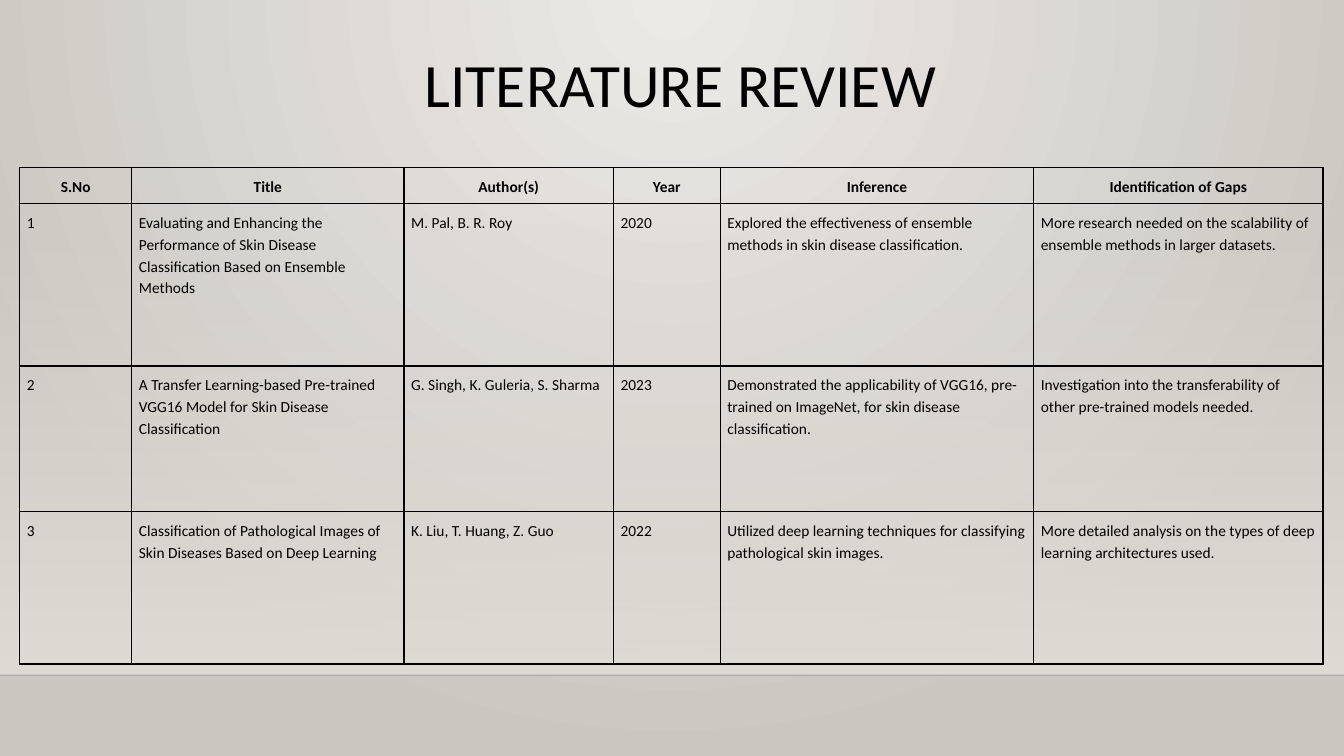
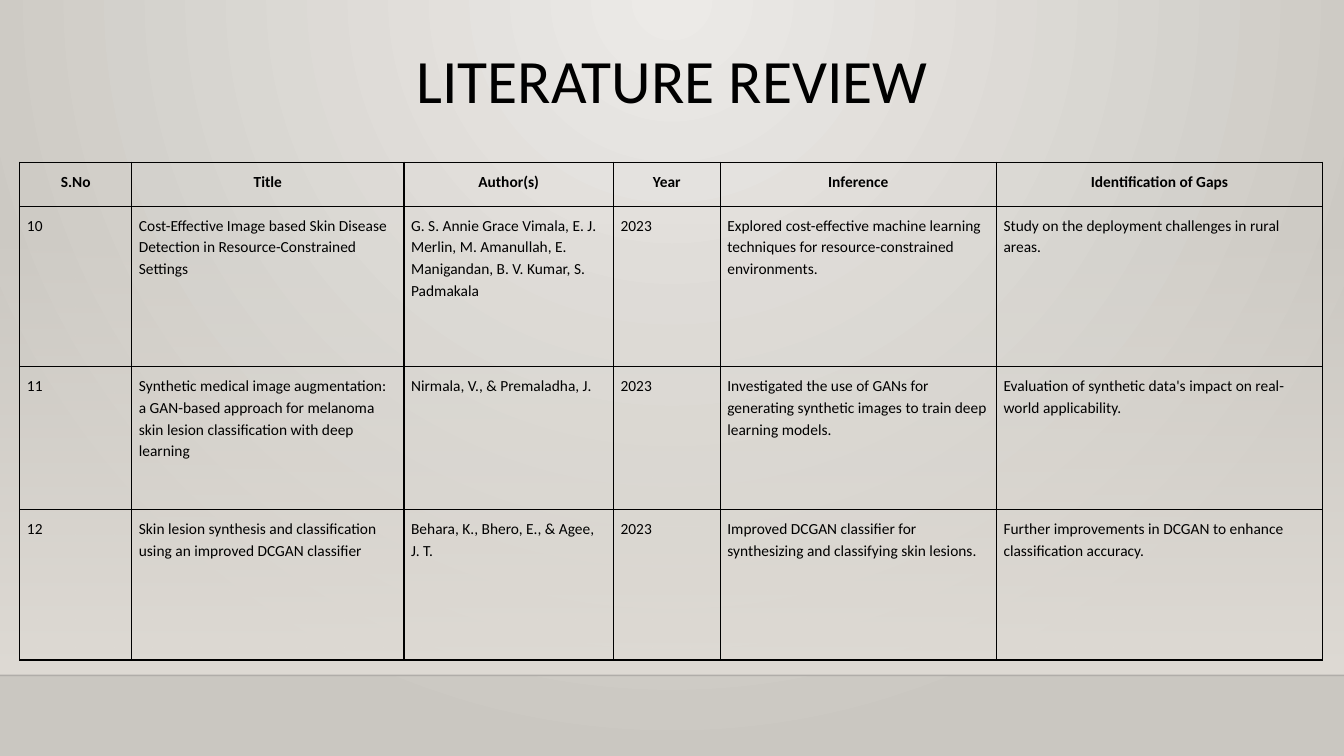
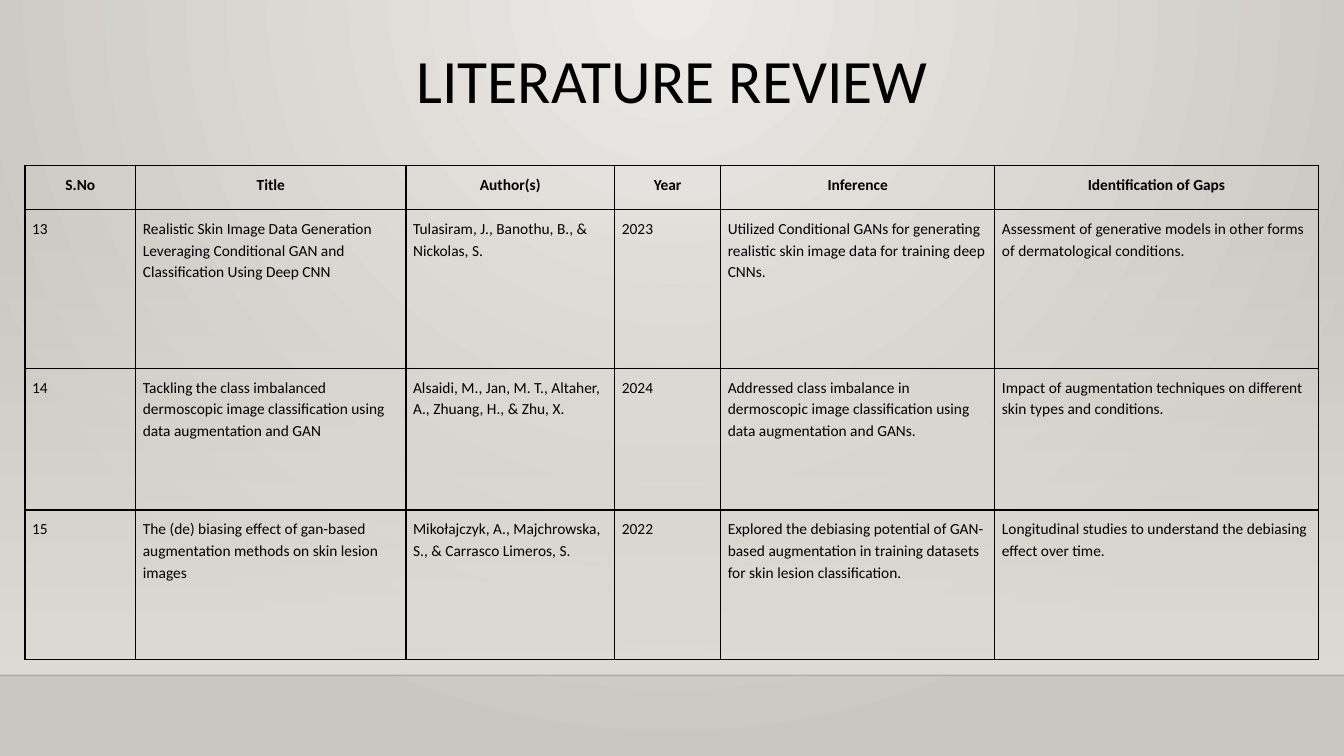
"""Build three literature review slides, each with a title and a table."""
import lxml.etree
import pptx
import pptx.dml.color
import pptx.enum.shapes
import pptx.enum.text
import pptx.oxml.ns
import pptx.util

Cm = pptx.util.Cm
Pt = pptx.util.Pt
qn = pptx.oxml.ns.qn

FONT = "Calibri"
BLACK = "000000"
BACKGROUND_COLOURS = ("ECEAE7", "CAC7C1")
WALL_COLOUR = "DFDBD5"
FLOOR_LINE_COLOUR = "000001"
SLIDE_WIDTH, SLIDE_HEIGHT = 33.87, 19.05
WALL_TOP, FLOOR_TOP = 5.61, 17.02
CELL_MARGIN = 0.18
NO_STYLE = "{2D5ABB26-0587-4C30-8999-92F81FD0307C}"
TITLE = "LITERATURE REVIEW"
TITLE_BOX = (2.34, 0.56, 29.21, 3.1)
HEADERS = ("S.No", "Title", "Author(s)", "Year", "Inference", "Identification of Gaps")

REVIEWS = [
    {
        "title_box": (1.85, 1.02, 30.61, 2.13),
        "title_spacing": 1.0,
        "corner": (0.5, 4.22),
        "columns": (2.82, 6.86, 5.28, 2.69, 7.9, 7.29),
        "heights": (0.91, 4.09, 3.67, 3.84),
        "papers": [
            ("1", "Evaluating and Enhancing the Performance of Skin Disease Classification "
             "Based on Ensemble Methods", "M. Pal, B. R. Roy", "2020",
             "Explored the effectiveness of ensemble methods in skin disease classification.",
             "More research needed on the scalability of ensemble methods in larger datasets."),
            ("2", "A Transfer Learning-based Pre-trained VGG16 Model for Skin Disease "
             "Classification", "G. Singh, K. Guleria, S. Sharma", "2023",
             "Demonstrated the applicability of VGG16, pre-trained on ImageNet, for skin "
             "disease classification.",
             "Investigation into the transferability of other pre-trained models needed."),
            ("3", "Classification of Pathological Images of Skin Diseases Based on Deep "
             "Learning", "K. Liu, T. Huang, Z. Guo", "2022",
             "Utilized deep learning techniques for classifying pathological skin images.",
             "More detailed analysis on the types of deep learning architectures used."),
        ],
    },
    {
        "title_box": TITLE_BOX,
        "title_spacing": 0.9,
        "corner": (0.5, 4.09),
        "columns": (2.82, 6.86, 5.28, 2.69, 6.96, 8.22),
        "heights": (1.11, 4.04, 3.6, 3.79),
        "papers": [
            ("10", "Cost-Effective Image based Skin Disease Detection in "
             "Resource-Constrained Settings",
             "G. S. Annie Grace Vimala, E. J. Merlin, M. Amanullah, E. Manigandan, "
             "B. V. Kumar, S. Padmakala", "2023",
             "Explored cost-effective machine learning techniques for resource-constrained "
             "environments.",
             "Study on the deployment challenges in rural areas."),
            ("11", "Synthetic medical image augmentation: a GAN-based approach for melanoma "
             "skin lesion classification with deep learning",
             "Nirmala, V., & Premaladha, J.", "2023",
             "Investigated the use of GANs for generating synthetic images to train deep "
             "learning models.",
             "Evaluation of synthetic data's impact on real-world applicability."),
            ("12", "Skin lesion synthesis and classification using an improved DCGAN "
             "classifier", "Behara, K., Bhero, E., & Agee, J. T.", "2023",
             "Improved DCGAN classifier for synthesizing and classifying skin lesions.",
             "Further improvements in DCGAN to enhance classification accuracy."),
        ],
    },
    {
        "title_box": TITLE_BOX,
        "title_spacing": 0.9,
        "corner": (0.63, 4.17),
        "columns": (2.79, 6.81, 5.26, 2.67, 6.91, 8.15),
        "heights": (1.11, 4.0, 3.57, 3.76),
        "papers": [
            ("13", "Realistic Skin Image Data Generation Leveraging Conditional GAN and "
             "Classification Using Deep CNN",
             "Tulasiram, J., Banothu, B., & Nickolas, S.", "2023",
             "Utilized Conditional GANs for generating realistic skin image data for "
             "training deep CNNs.",
             "Assessment of generative models in other forms of dermatological conditions."),
            ("14", "Tackling the class imbalanced dermoscopic image classification using "
             "data augmentation and GAN",
             "Alsaidi, M., Jan, M. T., Altaher, A., Zhuang, H., & Zhu, X.", "2024",
             "Addressed class imbalance in dermoscopic image classification using data "
             "augmentation and GANs.",
             "Impact of augmentation techniques on different skin types and conditions."),
            ("15", "The (de) biasing effect of gan-based augmentation methods on skin "
             "lesion images",
             "Mikołajczyk, A., Majchrowska, S., & Carrasco Limeros, S.", "2022",
             "Explored the debiasing potential of GAN-based augmentation in training "
             "datasets for skin lesion classification.",
             "Longitudinal studies to understand the debiasing effect over time."),
        ],
    },
]


def colour(hex_string):
    """Return the colour for a hex string."""
    return pptx.dml.color.RGBColor.from_string(hex_string)


def add_child(parent, tag, **attributes):
    """Append an XML child with the given attributes and return it."""
    return lxml.etree.SubElement(parent, qn(tag), **attributes)


def fill_gradient(fill, start, end):
    """Fill with a gradient running downwards between two colours."""
    fill.gradient()
    fill.gradient_angle = 270
    for stop, hex_string in zip(fill.gradient_stops, (start, end)):
        stop.color.rgb = colour(hex_string)


def set_opacity(shape, percent):
    """Set the opacity of the first colour in a shape."""
    first_colour = shape.element.xpath(".//a:srgbClr")[0]
    add_child(first_colour, "a:alpha", val=str(percent * 1000))


def set_background(layout):
    """Give the layout a gradient that spreads from the top centre."""
    fill_gradient(layout.background.fill, *BACKGROUND_COLOURS)
    linear = layout.element.xpath(".//p:bg//a:lin")[0]
    radial = lxml.etree.Element(qn("a:path"), path="circle")
    add_child(radial, "a:fillToRect", l="43000", t="0", r="43000", b="100000")
    linear.getparent().replace(linear, radial)


def add_wall(slide):
    """Add the band that fades in down to the floor line."""
    wall = slide.shapes.add_shape(
        pptx.enum.shapes.MSO_SHAPE.RECTANGLE,
        Cm(0), Cm(WALL_TOP), Cm(SLIDE_WIDTH), Cm(FLOOR_TOP - WALL_TOP))
    wall.shadow.inherit = False
    wall.line.fill.background()
    fill_gradient(wall.fill, WALL_COLOUR, WALL_COLOUR)
    set_opacity(wall, 0)
    return wall


def add_floor_line(slide):
    """Add the faint line across the foot of the wall."""
    line = slide.shapes.add_connector(
        pptx.enum.shapes.MSO_CONNECTOR.STRAIGHT,
        Cm(0), Cm(FLOOR_TOP), Cm(SLIDE_WIDTH), Cm(FLOOR_TOP))
    line.line.width = Pt(1)
    line.line.color.rgb = colour(FLOOR_LINE_COLOUR)
    set_opacity(line, 20)
    add_child(line.element.spPr, "a:effectLst")
    return line


def set_backdrop(slide):
    """Place the shared background, wall and floor line on the slide's layout."""
    layout = slide.slide_layout
    set_background(layout)
    for index, shape in enumerate((add_wall(slide), add_floor_line(slide))):
        shape.element.xpath(".//p:cNvPr")[0].set("id", str(100 + index))
        layout.shapes.element.insert(2 + index, shape.element)


def format_paragraph(paragraph, size, spacing, bold=False, centred=False):
    """Set the spacing, alignment and font of a paragraph."""
    alignment = pptx.enum.text.PP_ALIGN
    paragraph.alignment = alignment.CENTER if centred else alignment.LEFT
    paragraph.line_spacing = spacing
    for run in paragraph.runs:
        run.font.name = FONT
        run.font.size = Pt(size)
        run.font.bold = bold
        run.font.color.rgb = colour(BLACK)


def set_title(slide, box, spacing):
    """Move, fill and format the title placeholder."""
    title = slide.shapes.title
    title.left, title.top, title.width, title.height = map(Cm, box)
    text_frame = title.text_frame
    text_frame.text = TITLE
    text_frame.auto_size = pptx.enum.text.MSO_AUTO_SIZE.NONE
    text_frame.vertical_anchor = pptx.enum.text.MSO_ANCHOR.MIDDLE
    format_paragraph(text_frame.paragraphs[0], 44, spacing, centred=True)


def add_borders(cell):
    """Draw a thin black line on each side of a cell."""
    properties = cell._tc.get_or_add_tcPr()
    for side in ("a:lnL", "a:lnR", "a:lnT", "a:lnB"):
        border = add_child(properties, side, w=str(Pt(1)))
        add_child(add_child(border, "a:solidFill"), "a:srgbClr", val=BLACK)


def fill_cell(cell, text, is_header):
    """Write and format one table cell."""
    add_borders(cell)
    cell.fill.background()
    cell.margin_left = cell.margin_right = Cm(CELL_MARGIN)
    cell.margin_top = cell.margin_bottom = Cm(CELL_MARGIN)
    cell.text_frame.text = text
    format_paragraph(cell.text_frame.paragraphs[0], 11, 1.15, is_header, is_header)


def add_review_table(slide, corner, columns, heights, papers):
    """Add the table of reviewed papers under a header row."""
    left, top = corner
    frame = slide.shapes.add_table(
        len(heights), len(columns), Cm(left), Cm(top), Cm(sum(columns)), Cm(sum(heights)))
    frame.element.xpath(".//a:tableStyleId")[0].text = NO_STYLE
    table = frame.table
    table.first_row = table.horz_banding = False
    for column, width in zip(table.columns, columns):
        column.width = Cm(width)
    for index, (row, height) in enumerate(zip(table.rows, heights)):
        row.height = Cm(height)
        for cell, text in zip(row.cells, [HEADERS, *papers][index]):
            fill_cell(cell, text, index == 0)


def main():
    """Build and save the presentation."""
    presentation = pptx.Presentation()
    presentation.slide_width = Cm(SLIDE_WIDTH)
    presentation.slide_height = Cm(SLIDE_HEIGHT)
    title_only = presentation.slide_layouts[5]
    for review in REVIEWS:
        slide = presentation.slides.add_slide(title_only)
        set_title(slide, review["title_box"], review["title_spacing"])
        add_review_table(slide, review["corner"], review["columns"],
                         review["heights"], review["papers"])
    set_backdrop(presentation.slides[0])
    presentation.save("out.pptx")


if __name__ == "__main__":
    main()
